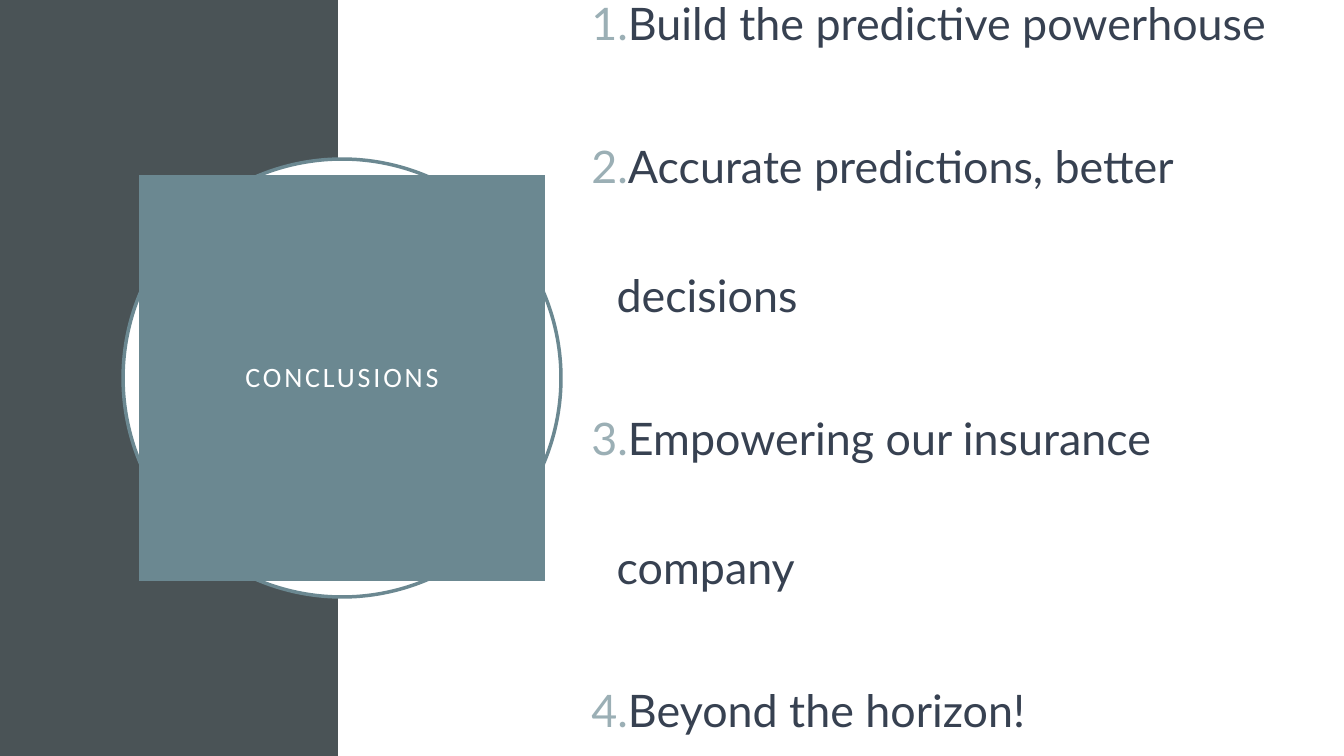
from lxml.etree import SubElement
from pptx import Presentation
from pptx.dml.color import RGBColor
from pptx.enum.shapes import MSO_SHAPE
from pptx.enum.text import MSO_ANCHOR, PP_ALIGN
from pptx.oxml.ns import qn
from pptx.util import Pt

COLORS = {
    "panel": "4A5356",
    "white": "FFFFFF",
    "teal": "6B8891",
    "number": "9BAFB5",
    "body": "374151",
}
CONCLUSIONS = [
    "Build the predictive powerhouse",
    "Accurate predictions, better decisions",
    "Empowering our insurance company",
    "Beyond the horizon!",
]


def add_block(kind, left, top, width, height, fill):
    shape = slide.shapes.add_shape(kind, Pt(left), Pt(top), Pt(width), Pt(height))
    shape.shadow.inherit = False
    shape.fill.solid()
    shape.fill.fore_color.rgb = RGBColor.from_string(COLORS[fill])
    shape.line.fill.background()
    return shape


def add_text(paragraph, text, color, font_format, paragraph_format):
    run = paragraph.add_run()
    run.text = text
    run.font.color.rgb = RGBColor.from_string(COLORS[color])
    for target, values in ((run.font, font_format), (paragraph, paragraph_format)):
        for name, value in values.items():
            setattr(target, name, value)
    return run


presentation = Presentation()
presentation.slide_width = Pt(960)
presentation.slide_height = Pt(540)
slide = presentation.slides.add_slide(presentation.slide_layouts[6])

add_block(MSO_SHAPE.RECTANGLE, 0, 0, 241.6, 540, "panel")
add_block(MSO_SHAPE.RECTANGLE, 241.6, 0, 718.4, 540, "white")
ring = add_block(MSO_SHAPE.OVAL, 87.9, 113.6, 312.8, 312.8, "white")
ring.line.color.rgb = RGBColor.from_string(COLORS["teal"])
ring.line.width = Pt(2.5)

title = add_block(MSO_SHAPE.RECTANGLE, 99.3, 125, 290, 290, "teal")
title_format = {
    "margin_left": Pt(14.4),
    "margin_right": Pt(14.4),
    "margin_top": Pt(14.4),
    "margin_bottom": Pt(14.4),
    "vertical_anchor": MSO_ANCHOR.MIDDLE,
    "word_wrap": True,
}
for name, value in title_format.items():
    setattr(title.text_frame, name, value)
title_run = add_text(
    title.text_frame.paragraphs[0], "CONCLUSIONS", "white",
    {"name": "Calibri", "size": Pt(20)},
    {"alignment": PP_ALIGN.CENTER, "line_spacing": 0.9},
)
title_run.font._element.set("spc", "200")

body = slide.shapes.add_textbox(Pt(415.4), Pt(38.2), Pt(544.3), Pt(392.4))
frame = body.text_frame
frame.word_wrap = True
frame.vertical_anchor = MSO_ANCHOR.MIDDLE
for index, text in enumerate(CONCLUSIONS):
    paragraph = frame.add_paragraph() if index else frame.paragraphs[0]
    add_text(
        paragraph, text, "body",
        {"name": "Lato", "size": Pt(32)},
        {"line_spacing": 2.4, "space_before": Pt(10)},
    )
    properties = paragraph._p.get_or_add_pPr()
    properties.set("marL", str(Pt(18)))
    properties.set("indent", str(-Pt(18)))
    number_color = SubElement(properties, qn("a:buClr"))
    SubElement(number_color, qn("a:srgbClr"), val=COLORS["number"])
    SubElement(properties, qn("a:buFont"), typeface="Lato")
    SubElement(properties, qn("a:buAutoNum"), type="arabicPeriod")

presentation.save("out.pptx")
